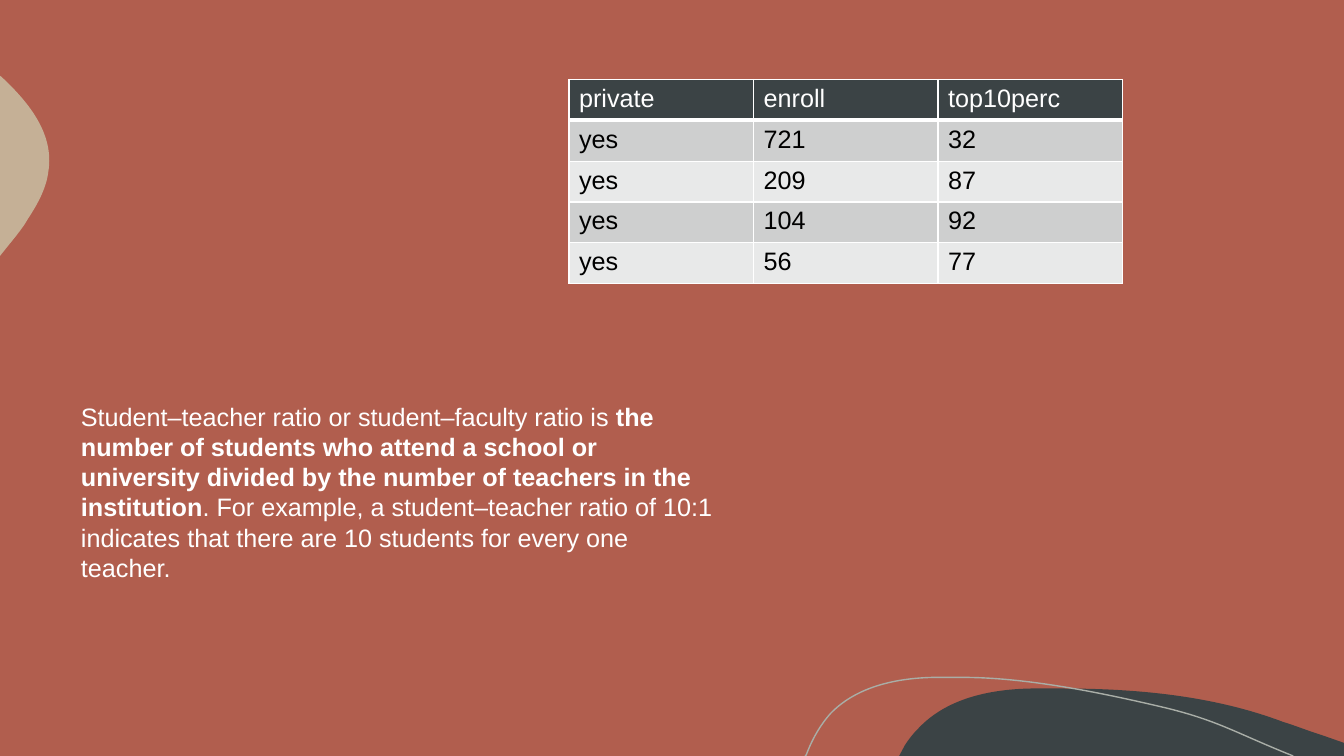
"""Build the student-teacher ratio slide with its enrolment table."""
from lxml import etree
from pptx import Presentation
from pptx import util as u
from pptx.dml.color import RGBColor
from pptx.oxml.ns import qn

CLAY = RGBColor(0xB1, 0x5E, 0x4E)
SLATE = RGBColor(0x3B, 0x43, 0x45)
SAND = RGBColor(0xC5, 0xB0, 0x96)
SAGE = RGBColor(0xA9, 0xAE, 0xA7)
WHITE = RGBColor(0xFF, 0xFF, 0xFF)
BLACK = RGBColor(0, 0, 0)
BANDS = [RGBColor(0xCE, 0xCF, 0xCF), RGBColor(0xE8, 0xE9, 0xE9)]

COLLEGES = [
    ("private", "enroll", "top10perc"),
    ("yes", "721", "32"),
    ("yes", "209", "87"),
    ("yes", "104", "92"),
    ("yes", "56", "77"),
]
DEFINITION = [
    ("Student–teacher ratio or student–faculty ratio is\u00a0", False),
    ("the number of students who attend a school or university divided by "
     "the number of teachers in the institution", True),
    (". For example, a student–teacher ratio of 10:1 indicates that there "
     "are 10 students for every one teacher.", False),
]
HILL = [
    [(26.77, 17.35)],
    [(28.65, 17.35), (30.58, 17.53), (32.33, 18.19)],
    [(32.66, 18.29), (32.97, 18.42), (33.3, 18.52)],
    [(33.87, 18.72)], [(33.87, 19.05)], [(22.66, 19.05)], [(22.81, 18.77)],
    [(22.91, 18.62), (23.01, 18.49), (23.14, 18.36)],
    [(23.85, 17.6), (24.94, 17.37), (25.98, 17.35)],
    [(26.24, 17.35), (26.49, 17.35), (26.77, 17.35)],
]
PEBBLE = [
    [(0, 1.91)], [(0.03, 1.93)],
    [(0.74, 2.59), (1.37, 3.38), (1.22, 4.32)],
    [(1.17, 4.75), (0.94, 5.16), (0.69, 5.54)],
    [(0.61, 5.69), (0.43, 5.92), (0.2, 6.2)],
    [(0, 6.45)],
]
CONTOUR = [
    [(20.29, 19.05)], [(20.32, 19.02)],
    [(20.47, 18.62), (20.68, 18.26), (20.93, 17.98)],
    [(21.59, 17.3), (22.58, 17.09), (23.52, 17.07)],
    [(24.26, 17.07)],
    [(25.96, 17.07), (27.94, 17.5), (29.34, 17.83)],
    [(30.71, 18.16), (31.14, 18.47), (32.59, 19.05)],
]
WAVES = [(HILL, SLATE, None), (PEBBLE, SAND, None), (CONTOUR, None, SAGE)]


def bend(wave, segments):
    """Turn the three-point segments of an outline into cubic curves."""
    sides = list(wave._element.iter(qn("a:lnTo")))
    for side, segment in zip(sides, segments[1:]):
        if len(segment) == 1:
            continue
        curve = etree.Element(qn("a:cubicBezTo"))
        for x, y in segment:
            etree.SubElement(curve, qn("a:pt"), x=str(u.Cm(x) - wave.left),
                             y=str(u.Cm(y) - wave.top))
        side.getparent().replace(side, curve)


def add_wave(slide, segments, fill, line):
    """Draw one decorative outline."""
    start, *rest = [(u.Cm(x), u.Cm(y)) for x, y in (segment[-1] for segment in segments)]
    builder = slide.shapes.build_freeform(*start, scale=1.0)
    builder.add_line_segments(rest, close=fill is not None)
    wave = builder.convert_to_shape()
    bend(wave, segments)
    wave.shadow.inherit = False
    if fill is None:
        wave.fill.background()
        wave.line.color.rgb = line
        wave.line.width = u.Pt(1)
    else:
        wave.fill.solid()
        wave.fill.fore_color.rgb = fill
        wave.line.fill.background()


def style(run, color, bold=False):
    """Apply the common text format to a run."""
    for name, value in {"name": "Arial", "size": u.Pt(18), "bold": bold}.items():
        setattr(run.font, name, value)
    run.font.color.rgb = color


def add_borders(cell, widths):
    """Give a cell white borders of the given point widths."""
    properties = cell._tc.get_or_add_tcPr()
    for side, width in widths.items():
        border = etree.SubElement(properties, qn(f"a:ln{side}"), w=str(u.Pt(width)))
        paint = etree.SubElement(border, qn("a:solidFill"))
        etree.SubElement(paint, qn("a:srgbClr"), val=str(WHITE))


def add_colleges(slide):
    """Add the table of colleges."""
    table = slide.shapes.add_table(len(COLLEGES), len(COLLEGES[0]), u.Cm(14.34), u.Cm(2),
                                   u.Cm(13.95), u.Cm(5.15)).table
    for r, record in enumerate(COLLEGES):
        header = r == 0
        for c, entry in enumerate(record):
            cell = table.cell(r, c)
            run = cell.text_frame.paragraphs[0].add_run()
            run.text = entry
            style(run, WHITE if header else BLACK)
            add_borders(cell, {"L": 1, "R": 1, "T": 3 if r == 1 else 1,
                               "B": 3 if header else 1})
            cell.fill.solid()
            cell.fill.fore_color.rgb = SLATE if header else BANDS[(r - 1) % 2]


def add_definition(slide):
    """Add the paragraph that explains the ratio."""
    frame = slide.shapes.add_textbox(u.Cm(1.79), u.Cm(9.98), u.Cm(16.5), u.Cm(4.88)).text_frame
    frame.word_wrap = True
    for wording, bold in DEFINITION:
        run = frame.paragraphs[0].add_run()
        run.text = wording
        style(run, WHITE, bold)


deck = Presentation()
deck.slide_width, deck.slide_height = u.Cm(33.87), u.Cm(19.05)
ratio = deck.slides.add_slide(deck.slide_layouts[6])
ratio.background.fill.solid()
ratio.background.fill.fore_color.rgb = CLAY
for wave_format in WAVES:
    add_wave(ratio, *wave_format)
add_colleges(ratio)
add_definition(ratio)
deck.save("out.pptx")
